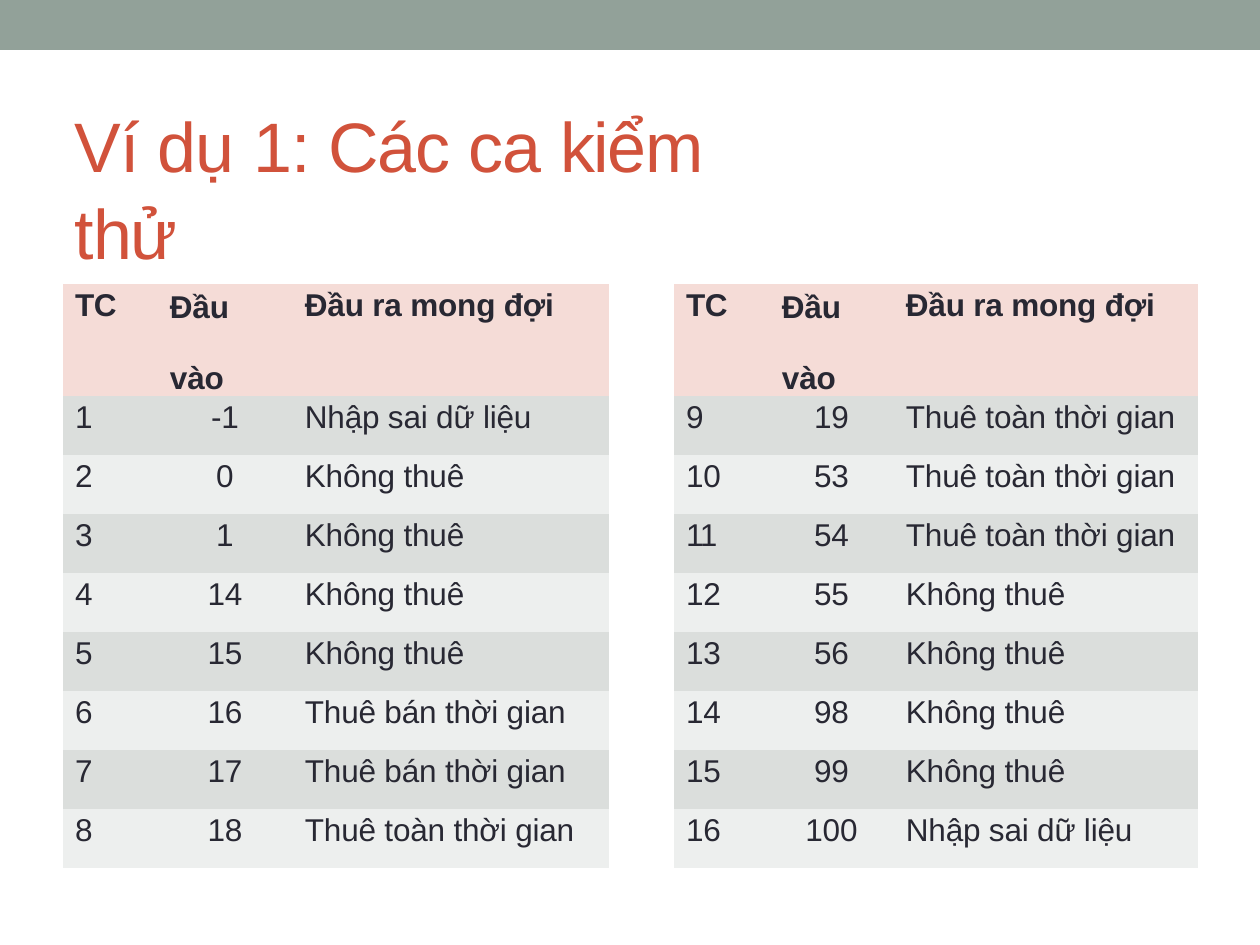
"""Builds the slide that lists the test cases of example 1."""
from pptx import Presentation
from pptx import util as u
from pptx.dml import color
from pptx.enum import shapes, text

PX = 914400 // 126
COLORS = {"bar": "92A199", "title": "D1523B", "ink": "282833",
          "header": "F5DCD7", "odd": "DBDEDC", "even": "EDEFEE"}
PLAIN_STYLE = "{2D5ABB26-0587-4C30-8999-92F81FD0307C}"
WRONG, NONE = "Nhập sai dữ liệu", "Không thuê"
PART, FULL = "Thuê bán thời gian", "Thuê toàn thời gian"
TITLE = [("Ví dụ ", -0.5), ("1: ", -0.6), ("Các ", -0.8),
         ("ca ", -0.5), ("kiểm ", -0.8), ("thử", -0.7)]
LEFT_CASES = [("-1", WRONG), ("0", NONE), ("1", NONE), ("14", NONE),
              ("15", NONE), ("16", PART), ("17", PART), ("18", FULL)]
RIGHT_CASES = [("19", FULL), ("53", FULL), ("54", FULL), ("55", NONE),
               ("56", NONE), ("98", NONE), ("99", NONE), ("100", WRONG)]


class SlideBuilder:
    """Holds the style and the current slide."""

    def __init__(self, deck):
        self.font = "Arial"
        self.page = deck.slides.add_slide(deck.slide_layouts[6])

    def paint(self, fill, name):
        fill.solid()
        fill.fore_color.rgb = color.RGBColor.from_string(COLORS[name])

    def bar(self, left, top, width, height):
        box = self.page.shapes.add_shape(
            shapes.MSO_SHAPE.RECTANGLE, left * PX, top * PX, width * PX, height * PX)
        box.shadow.inherit = False
        self.paint(box.fill, "bar")
        box.line.fill.background()

    def add_spans(self, para, runs, size, name, bold=False):
        for words, spacing in runs:
            span = para.add_run()
            span.text = words
            span.font.name = self.font
            span.font.size = u.Pt(size)
            span.font.bold = bold
            span.font.color.rgb = color.RGBColor.from_string(COLORS[name])
            span._r.get_or_add_rPr().set("spc", str(round(spacing * 100)))

    def title(self, left, top, width, height, runs):
        box = self.page.shapes.add_textbox(left * PX, top * PX, width * PX, height * PX)
        frame = box.text_frame
        frame.word_wrap = True
        frame.margin_left = frame.margin_right = frame.margin_bottom = 0
        frame.margin_top = PX
        para = frame.paragraphs[0]
        para.line_spacing = 1.04
        self.add_spans(para, runs, 40, "title")

    def cell(self, cell, lines, fill, indent, margin, bold=False, centred=False):
        self.paint(cell.fill, fill)
        cell.margin_left = cell.margin_right = cell.margin_bottom = 0
        cell.margin_top = margin * PX
        cell.vertical_anchor = text.MSO_ANCHOR.TOP
        frame = cell.text_frame
        for number, words in enumerate(lines):
            para = frame.add_paragraph() if number else frame.paragraphs[0]
            para._p.get_or_add_pPr().set("marL", str(indent * PX))
            para.alignment = text.PP_ALIGN.CENTER if centred else text.PP_ALIGN.LEFT
            if len(lines) > 1:
                para.line_spacing = u.Pt(20.2)
            if number:
                para.space_before = u.Pt(20.2)
            spacing = -0.8 if words == "11" else -0.1
            self.add_spans(para, [(words, spacing)], 18, "ink", bold)

    def table(self, left, top, widths, indents, first, cases):
        header, step = 112, 59
        frame = self.page.shapes.add_table(
            len(cases) + 1, 3, left * PX, top * PX,
            sum(widths) * PX, (header + step * len(cases)) * PX)
        table = frame.table
        table.first_row = table.horz_banding = False
        table._tbl.tblPr[0].text = PLAIN_STYLE
        for column, width in zip(table.columns, widths):
            column.width = width * PX
        for number, row in enumerate(table.rows):
            row.height = (step if number else header) * PX
        heads = [["TC"], ["Đầu", "vào"], ["Đầu ra mong đợi"]]
        for column, lines in enumerate(heads):
            indent = 26 if column == 1 else indents[column]
            margin = 6 if column == 1 else 4
            self.cell(table.cell(0, column), lines, "header", indent, margin, bold=True)
        for row, (value, result) in enumerate(cases, 1):
            fill = "odd" if row % 2 else "even"
            for column, words in enumerate((str(first + row - 1), value, result)):
                self.cell(table.cell(row, column), [words], fill,
                          indents[column], 4, centred=column == 1)


def main():
    deck = Presentation()
    deck.slide_width, deck.slide_height = u.Inches(10), u.Inches(7.5)
    builder = SlideBuilder(deck)
    builder.bar(0, 0, 1260, 50)
    builder.title(75, 98, 735, 87, TITLE)
    builder.table(63, 284, (81, 130, 335), (12, 32, 31), 1, LEFT_CASES)
    builder.table(674, 284, (82, 126, 316), (12, 25, 24), 9, RIGHT_CASES)
    deck.save("out.pptx")


if __name__ == "__main__":
    main()
